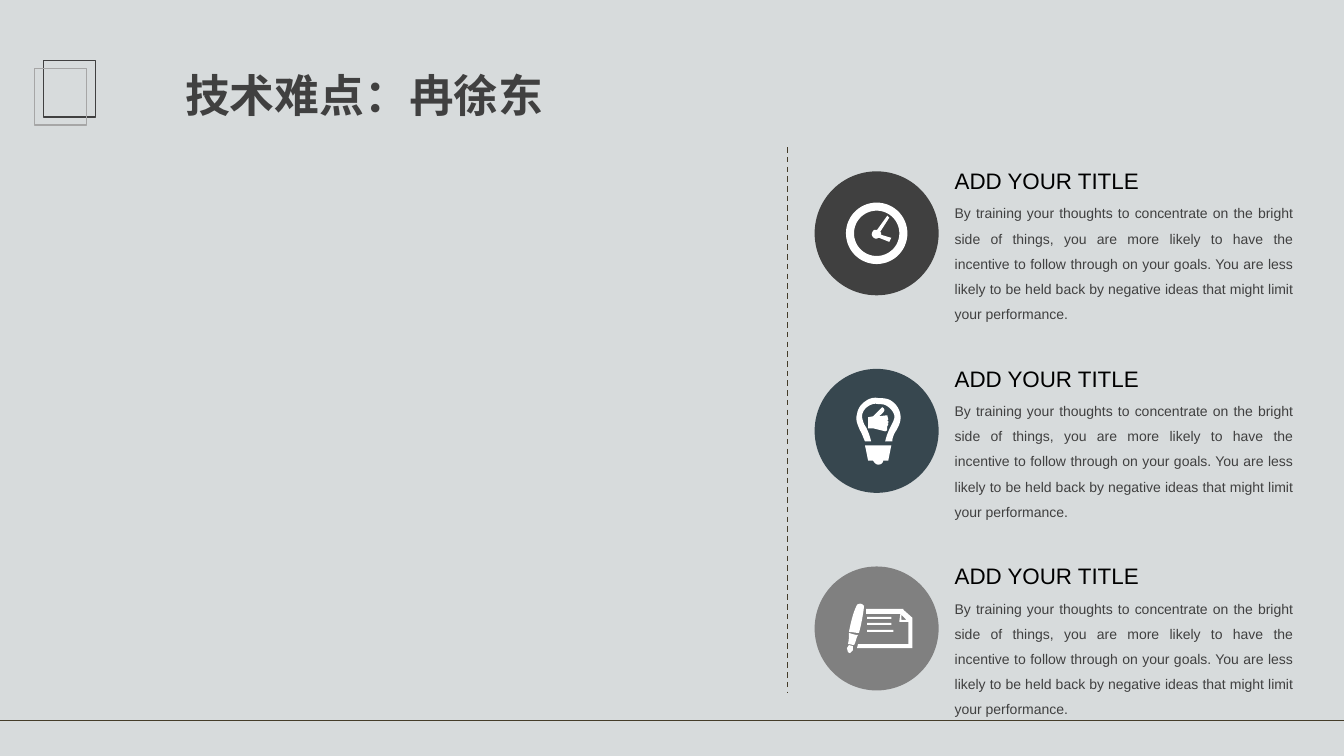
import math
from dataclasses import dataclass

import pptx
import pptx.dml.color
import pptx.enum.dml
import pptx.enum.shapes
import pptx.enum.text
import pptx.oxml
import pptx.util

Inches = pptx.util.Inches
Pt = pptx.util.Pt
KIND = pptx.enum.shapes.MSO_SHAPE
ALIGN = pptx.enum.text.PP_ALIGN
FIT = pptx.enum.text.MSO_AUTO_SIZE


@dataclass(frozen=True)
class Theme:
    back: str = "D7DBDC"
    dark: str = "404040"
    slate: str = "37474F"
    gray: str = "808080"
    pale: str = "A6A6A6"
    rule: str = "443C29"
    white: str = "FFFFFF"
    black: str = "000000"
    font: str = "Arial"
    narrow: str = "Arial Narrow"
    title: int = 32
    head: int = 16
    body: int = 10


THEME = Theme()
DISC = 1.23  # disc diameter in inches
HEAD = "ADD YOUR TITLE"
BODY = ("By training your thoughts to concentrate on the bright side of things, "
        "you are more likely to have the incentive to follow through on your goals. "
        "You are less likely to be held back by negative ideas that might limit "
        "your performance.")


def ring(radius):
    """Circle around the disc centre, in hundredths of an inch."""
    mid = DISC * 50
    turns = [math.tau * i / 60 for i in range(60)]
    return [(mid + radius * math.cos(t), mid + radius * math.sin(t)) for t in turns]


def bar(left, top, right):
    return [(left, top), (right, top), (right, top + 2), (left, top + 2)]


# Icon outlines in hundredths of an inch from the disc corner:
# a pair is a straight step, six numbers are a cubic curve
CLOCK = [
    ring(30.5),
    ring(22.5),
    [(66, 61), (65, 60), (74, 46), (72, 44), (62, 58), (59, 58),
     (57, 60, 56, 62, 57, 64), (58, 66, 61, 68, 63, 66), (64, 66),
     (74, 70), (76, 66), (66, 63)],
]
BULB = [
    # Socket
    [(50, 76), (76, 76), (73, 91), (68, 91), (68, 93, 66, 95, 63, 95),
     (61, 95, 59, 93, 58, 91), (53, 91)],
    # Thumb
    [(72, 46), (73, 50), (72, 51), (73, 52), (73, 54), (72, 54), (73, 55),
     (72, 57), (72, 61), (70, 62), (58, 59), (53, 59), (53, 48), (58, 47),
     (67, 38), (72, 41, 67, 44, 64, 47)],
    # Glass
    [(50, 72), (56, 72), (55, 67, 53, 62, 51, 58), (48, 54, 47, 49, 47, 46),
     (48, 41, 51, 38, 55, 36), (57, 35, 60, 34, 63, 35),
     (67, 35, 69, 35, 72, 37), (75, 39, 78, 42, 79, 46),
     (80, 49, 77, 54, 75, 58), (73, 62, 71, 67, 70, 72), (77, 72),
     (77, 68, 79, 64, 81, 61), (84, 56, 86, 51, 85, 45),
     (84, 39, 80, 34, 75, 31), (71, 29, 67, 29, 63, 29),
     (60, 28, 55, 29, 52, 31), (47, 34, 43, 38, 42, 45),
     (40, 51, 43, 56, 45, 61), (47, 64, 48, 68, 50, 72)],
]
PAPER = [
    # Pen cap, barrel and nib
    [(42, 38), (45, 36, 47, 37, 49, 39), (48, 49, 46, 58, 44, 66),
     (41, 66, 38, 65, 34, 65), (36, 55, 38, 46, 42, 38)],
    [(34, 66), (34, 70, 34, 73, 33, 77), (35, 77, 38, 78, 39, 78),
     (41, 75, 41, 71, 43, 68), (40, 68, 38, 67, 34, 66)],
    [(34, 78), (38, 79), (38, 83), (35, 86), (33, 85), (32, 81)],
    # Sheet, folded corner and lines of writing
    [(43, 77), (42, 81), (97, 81), (97, 51), (88, 43), (88, 42), (51, 42),
     (51, 47), (85, 47), (84, 54), (84, 55), (93, 55), (93, 77)],
    [(91, 53), (86, 53), (86, 48)],
    bar(52, 50, 76), bar(52, 56, 76), bar(52, 63, 78),
]


def color(value):
    return pptx.dml.color.RGBColor.from_string(value)


def paint(shape, fill=None, line=None):
    shape.shadow.inherit = False
    if fill:
        shape.fill.solid()
        shape.fill.fore_color.rgb = color(fill)
    else:
        shape.fill.background()
    if line:
        shape.line.color.rgb = color(line)
        shape.line.width = Pt(1)
    else:
        shape.line.fill.background()


def trace(steps):
    """Turn straight and curved steps into fine points."""
    points = []
    for step in steps:
        if len(step) == 2:
            points.append(step)
            continue
        ends = (points[-1], step[:2], step[2:4], step[4:])
        for i in range(1, 9):
            t = i / 8
            parts = ((1 - t) ** 3, 3 * t * (1 - t) ** 2, 3 * t * t * (1 - t), t ** 3)
            points.append(tuple(sum(w * p[axis] for w, p in zip(parts, ends))
                                for axis in (0, 1)))
    return [(x * 100, y * 100) for x, y in points]


def add_icon(slide, left, top, outlines):
    first, *rest = [trace(steps) for steps in outlines]
    pen = slide.shapes.build_freeform(*first[0], scale=Inches(1) / 10000)
    pen.add_line_segments(first[1:], close=True)
    for points in rest:
        pen.move_to(*points[0])
        pen.add_line_segments(points[1:], close=True)
    paint(pen.convert_to_shape(Inches(left), Inches(top)), THEME.white)


def add_rule(slide, start, end, dash=None):
    rule = slide.shapes.add_connector(
        pptx.enum.shapes.MSO_CONNECTOR.STRAIGHT, *map(Inches, start + end))
    rule.line.color.rgb = color(THEME.rule)
    rule.line.width = Pt(1)
    if dash:
        rule.line.dash_style = dash
    rule._element.spPr.append(pptx.oxml.parse_xml(
        '<a:effectLst xmlns:a="http://schemas.openxmlformats.org/drawingml/2006/main"/>'))


def write(shape, text, size, tint, font=THEME.font, align=ALIGN.LEFT,
          wrap=True, space=1.0, bold=False):
    frame = shape.text_frame
    frame.word_wrap = wrap
    frame.auto_size = FIT.SHAPE_TO_FIT_TEXT
    frame.vertical_anchor = pptx.enum.text.MSO_ANCHOR.TOP
    para = frame.paragraphs[0]
    para.alignment = align
    para.line_spacing = space
    run = para.add_run()
    run.text = text
    run.font.size = Pt(size)
    run.font.name = font
    run.font.bold = bold
    run.font.color.rgb = color(tint)


def add_text(slide, box, *words, **style):
    write(slide.shapes.add_textbox(*map(Inches, box)), *words, **style)


def add_title(slide, text):
    title = slide.shapes.title
    title.left, title.top, title.width, title.height = map(
        Inches, (0.83, 0.62, 5.57, 0.64))
    write(title, text, THEME.title, THEME.dark, THEME.narrow, ALIGN.CENTER, bold=True)


def add_mark(slide):
    group = slide.shapes.add_group_shape()
    for left, top, line in ((0.43, 0.6, THEME.dark), (0.34, 0.68, THEME.pale)):
        box = map(Inches, (left, top, 0.52, 0.56))
        paint(group.shapes.add_shape(KIND.RECTANGLE, *box), line=line)


def add_item(slide, top, fill, icon):
    left = 8.08
    disc = slide.shapes.add_shape(KIND.OVAL, *map(Inches, (left, top, DISC, DISC)))
    paint(disc, fill)
    add_icon(slide, left, top, icon)
    add_text(slide, (9.37, top - 0.09, 2.05, 0.37), HEAD, THEME.head, THEME.black,
             wrap=False)
    add_text(slide, (9.37, top + 0.2, 3.55, 1.33), BODY, THEME.body, THEME.dark,
             align=ALIGN.JUSTIFY, space=1.5)


def main():
    deck = pptx.Presentation()
    deck.slide_width, deck.slide_height = Inches(13.33), Inches(7.5)
    slide = deck.slides.add_slide(deck.slide_layouts[5])
    slide.background.fill.solid()
    slide.background.fill.fore_color.rgb = color(THEME.back)

    # Heading
    add_mark(slide)
    add_title(slide, "技术难点：冉徐东")

    # Rules
    add_rule(slide, (0, 7.15), (13.33, 7.15))
    add_rule(slide, (7.81, 1.46), (7.81, 6.88), pptx.enum.dml.MSO_LINE.DASH)

    # Items
    items = ((THEME.dark, CLOCK), (THEME.slate, BULB), (THEME.gray, PAPER))
    for row, (fill, icon) in enumerate(items):
        add_item(slide, 1.7 + row * 1.96, fill, icon)

    deck.save("out.pptx")


if __name__ == "__main__":
    main()
